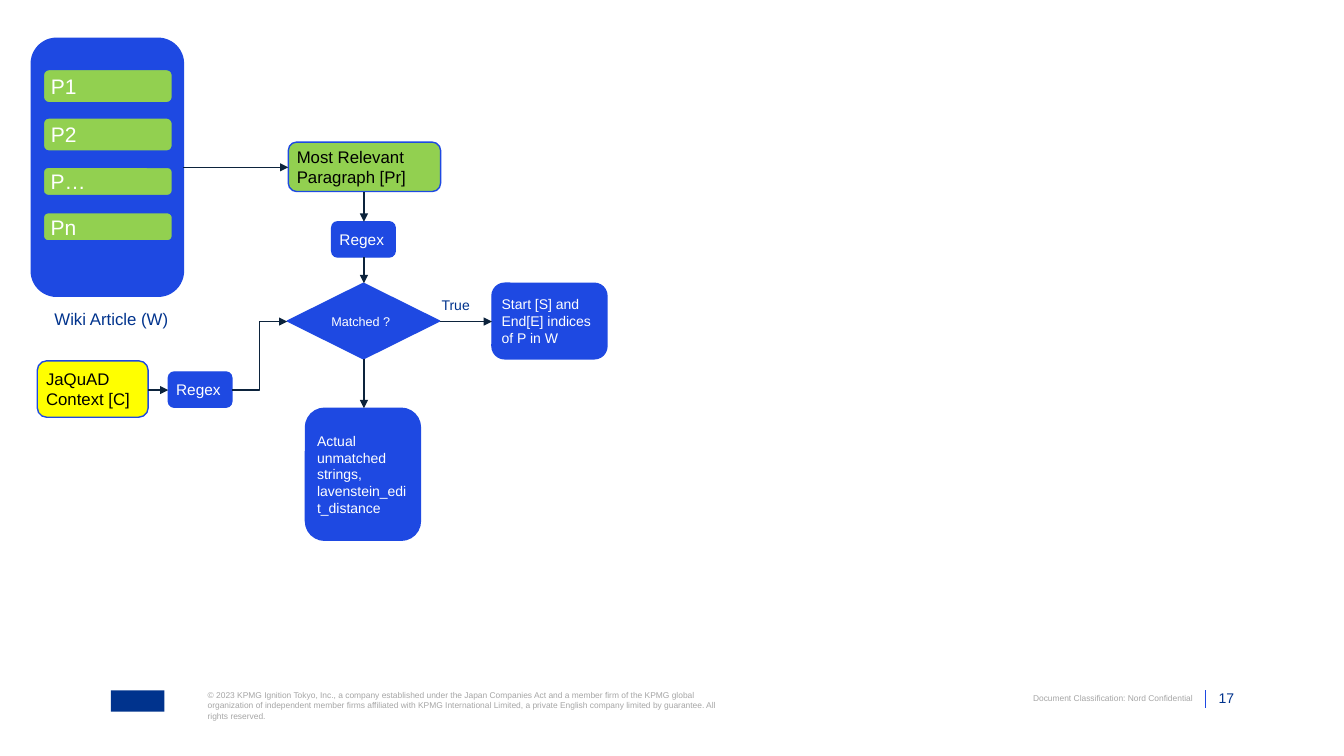
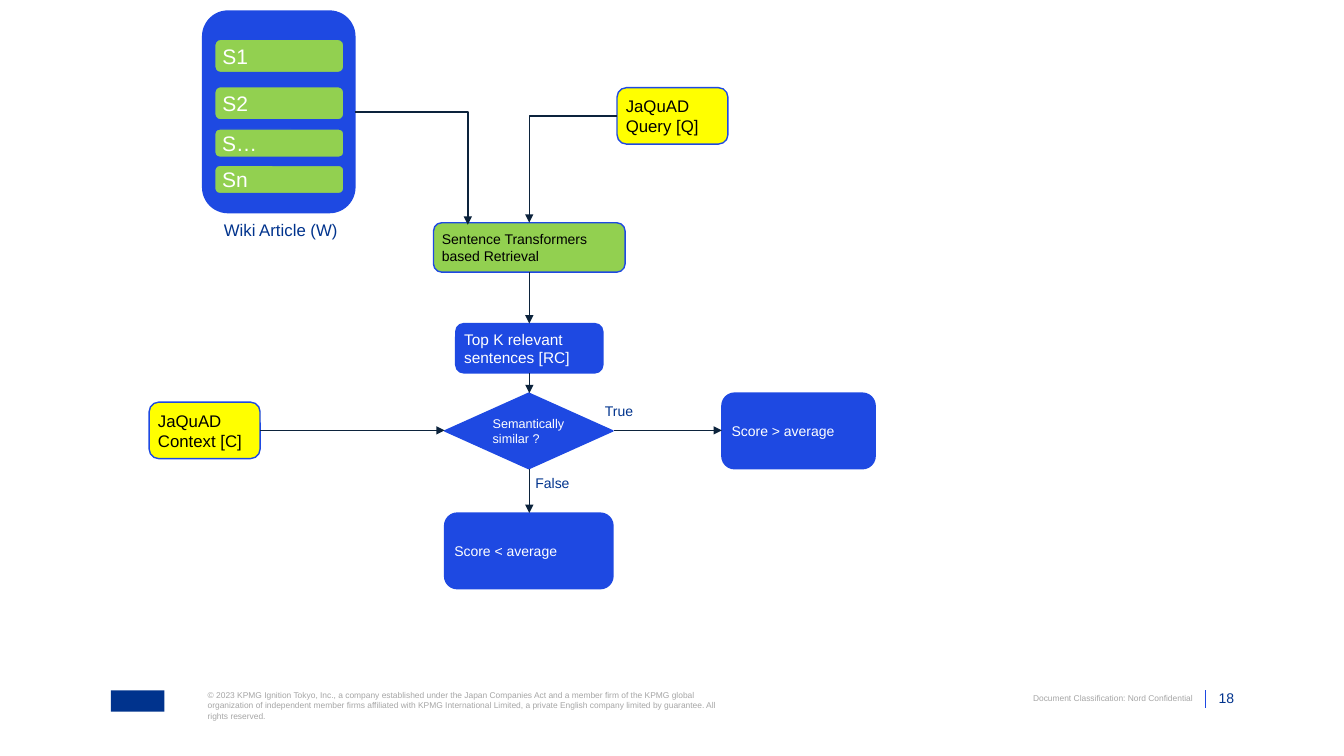
"""Build two flowchart slides on matching article passages to a question-answering data set."""
from dataclasses import dataclass

import lxml.etree
import pptx
import pptx.dml.color
import pptx.enum.shapes
import pptx.enum.text
import pptx.oxml.ns
import pptx.presentation
import pptx.shapes.connector
import pptx.slide
import pptx.text.text
import pptx.util

Inches = pptx.util.Inches
Pt = pptx.util.Pt
RGBColor = pptx.dml.color.RGBColor
SHAPE = pptx.enum.shapes.MSO_SHAPE
CONNECTOR = pptx.enum.shapes.MSO_CONNECTOR
ANCHOR = pptx.enum.text.MSO_ANCHOR
ALIGN = pptx.enum.text.PP_ALIGN

BLUE = RGBColor(0x1E, 0x49, 0xE2)
NAVY = RGBColor(0x00, 0x33, 0x8D)
INK = RGBColor(0x0C, 0x23, 0x3C)
GREEN = RGBColor(0x92, 0xD0, 0x50)
YELLOW = RGBColor(0xFF, 0xFF, 0x00)
GREY = RGBColor(0xA6, 0xA6, 0xA6)
WHITE = RGBColor(0xFF, 0xFF, 0xFF)
BLACK = RGBColor(0x00, 0x00, 0x00)

FONT = "Arial"
NODE_INSET = Inches(0.06)
CLASSIFICATION = "Document Classification: Nord Confidential"
COPYRIGHT = (
    "© 2023 KPMG Ignition Tokyo, Inc., a company established under the Japan Companies Act "
    "and a member firm of the KPMG global organization of independent member firms affiliated "
    "with KPMG International Limited, a private English company limited by guarantee. "
    "All rights reserved."
)


@dataclass(frozen=True)
class Box:
    """A rectangle in inches."""
    left: float
    top: float
    width: float
    height: float

    def lengths(self) -> tuple[int, int, int, int]:
        """Return the rectangle as slide lengths."""
        return Inches(self.left), Inches(self.top), Inches(self.width), Inches(self.height)


@dataclass(frozen=True)
class Node:
    """A filled flowchart step."""
    box: Box
    text: str = ""
    size: float = 10
    fill: RGBColor = BLUE
    color: RGBColor = WHITE
    outline: SHAPE = SHAPE.ROUNDED_RECTANGLE


@dataclass(frozen=True)
class Label:
    """Free-standing text."""
    box: Box
    text: str
    size: float = 10
    color: RGBColor = NAVY
    align: ALIGN = ALIGN.LEFT
    anchor: ANCHOR = ANCHOR.TOP


@dataclass(frozen=True)
class Arrow:
    """A flow line from one point to another, with an optional bend preset."""
    start: tuple[float, float]
    end: tuple[float, float]
    bend: str = ""


@dataclass(frozen=True)
class Flow:
    """The content of one slide."""
    number: int
    nodes: list[Node]
    arrows: list[Arrow]
    labels: list[Label]


def article(box: Box, left: float, prefix: str, tops: list[float]) -> list[Node]:
    """Return an article block and the passages stacked in it."""
    rows = zip(("1", "2", "…", "n"), tops, (0.33, 0.33, 0.28, 0.28))
    return [Node(box)] + [
        Node(Box(left, top, 1.28, height), prefix + suffix, 15, GREEN)
        for suffix, top, height in rows
    ]


def article_caption(left: float, top: float) -> Label:
    """Return the one-line caption under an article block."""
    return Label(Box(left, top, 1.3, 0.2), "Wiki Article (W)", 12)


def branch(left: float, top: float, outcome: str) -> Label:
    """Return the outcome beside a decision's arrow."""
    return Label(Box(left, top, 0.45, 0.17), outcome)


def data_set(left: float, top: float, part: str) -> Node:
    """Return a yellow data set input."""
    return Node(Box(left, top, 1.1, 0.56), f"JaQuAD {part}", 12, YELLOW, BLACK)


def regex(left: float, top: float) -> Node:
    """Return a regular expression step."""
    return Node(Box(left, top, 0.63, 0.35), "Regex", 11)


def write(frame: pptx.text.text.TextFrame, text: str, size: float, color: RGBColor,
          align: ALIGN, anchor: ANCHOR, inset: int) -> None:
    """Write one run into a wrapping text frame."""
    frame.word_wrap = True
    frame.margin_left = frame.margin_right = frame.margin_top = frame.margin_bottom = inset
    frame.vertical_anchor = anchor
    paragraph = frame.paragraphs[0]
    paragraph.alignment = align
    run = paragraph.add_run()
    run.text = text
    run.font.name = FONT
    run.font.size = Pt(size)
    run.font.color.rgb = color


def draw_node(slide: pptx.slide.Slide, node: Node) -> None:
    """Draw a flowchart step."""
    step = slide.shapes.add_shape(node.outline, *node.box.lengths())
    step.shadow.inherit = False
    step.fill.solid()
    step.fill.fore_color.rgb = node.fill
    step.line.color.rgb = BLUE
    step.line.width = Pt(1)
    if node.text:
        write(step.text_frame, node.text, node.size, node.color,
              ALIGN.LEFT, ANCHOR.MIDDLE, NODE_INSET)


def draw_label(slide: pptx.slide.Slide, label: Label) -> None:
    """Draw free-standing text."""
    frame = slide.shapes.add_textbox(*label.box.lengths()).text_frame
    write(frame, label.text, label.size, label.color, label.align, label.anchor, 0)


def draw_line(slide: pptx.slide.Slide, kind: CONNECTOR, start: tuple[float, float],
              end: tuple[float, float], color: RGBColor,
              width: float) -> pptx.shapes.connector.Connector:
    """Draw a connector without a shadow."""
    line = slide.shapes.add_connector(kind, *(Inches(value) for value in start + end))
    line.line.color.rgb = color
    line.line.width = Pt(width)
    lxml.etree.SubElement(line._element.spPr, pptx.oxml.ns.qn("a:effectLst"))
    return line


def draw_arrow(slide: pptx.slide.Slide, arrow: Arrow) -> None:
    """Draw a flow line with an arrowhead at its end."""
    kind = CONNECTOR.ELBOW if arrow.bend else CONNECTOR.STRAIGHT
    line = draw_line(slide, kind, arrow.start, arrow.end, INK, 1)
    if arrow.bend:
        line._element.spPr.find(pptx.oxml.ns.qn("a:prstGeom")).set("prst", arrow.bend)
    stroke = line._element.spPr.find(pptx.oxml.ns.qn("a:ln"))
    head = lxml.etree.SubElement(stroke, pptx.oxml.ns.qn("a:tailEnd"))
    head.set("type", "triangle")


def draw_footer(slide: pptx.slide.Slide, number: int) -> None:
    """Draw the emblem block, legal text, divider and slide number."""
    emblem = slide.shapes.add_shape(SHAPE.RECTANGLE, *Box(1.1, 6.85, 0.53, 0.21).lengths())
    emblem.shadow.inherit = False
    emblem.fill.solid()
    emblem.fill.fore_color.rgb = NAVY
    emblem.line.fill.background()
    for label in (
        Label(Box(2.06, 6.85, 5.06, 0.3), COPYRIGHT, 6, GREY),
        Label(Box(9.81, 6.88, 2.02, 0.1), CLASSIFICATION, 6, GREY, ALIGN.RIGHT),
        Label(Box(11.97, 6.85, 0.27, 0.16), str(number), 10, NAVY, ALIGN.RIGHT, ANCHOR.BOTTOM),
    ):
        draw_label(slide, label)
    draw_line(slide, CONNECTOR.STRAIGHT, (11.95, 6.85), (11.95, 7.02), BLUE, 0.5)


def draw_flow(deck: pptx.presentation.Presentation, flow: Flow) -> None:
    """Add one flowchart slide."""
    slide = deck.slides.add_slide(deck.slide_layouts[6])
    draw_footer(slide, flow.number)
    for node in flow.nodes:
        draw_node(slide, node)
    for arrow in flow.arrows:
        draw_arrow(slide, arrow)
    for label in flow.labels:
        draw_label(slide, label)


PARAGRAPH_MATCHING = Flow(
    17,
    article(Box(0.31, 0.38, 1.51, 2.56), 0.43, "P", [0.69, 1.17, 1.66, 2.11]) + [
        data_set(0.37, 3.58, "Context [C]"),
        regex(1.67, 3.69),
        Node(Box(2.86, 1.41, 1.51, 0.49), "Most Relevant Paragraph [Pr]", 12, GREEN, BLACK),
        regex(3.29, 2.2),
        Node(Box(2.85, 2.81, 1.51, 0.75), "Matched ?", 9, outline=SHAPE.DIAMOND),
        Node(Box(4.88, 2.81, 1.14, 0.75), "Start [S] and End[E] indices of P in W"),
        Node(Box(3.03, 4.05, 1.14, 1.31), "Actual unmatched strings, lavenstein_edit_distance"),
    ],
    [
        Arrow((1.82, 1.66), (2.86, 1.66)),
        Arrow((3.61, 1.9), (3.61, 2.2)),
        Arrow((3.61, 2.55), (3.61, 2.81)),
        Arrow((1.47, 3.87), (1.67, 3.87)),
        Arrow((2.3, 3.87), (2.85, 3.19), "bentConnector3"),
        Arrow((4.36, 3.19), (4.88, 3.19)),
        Arrow((3.61, 3.56), (3.61, 4.05)),
    ],
    [article_caption(0.54, 3.06), branch(4.38, 2.94, "True")],
)

SENTENCE_RETRIEVAL = Flow(
    18,
    article(Box(2.01, 0.11, 1.51, 2), 2.13, "S", [0.39, 0.86, 1.28, 1.64]) + [
        data_set(1.48, 3.99, "Context [C]"),
        data_set(6.12, 0.87, "Query [Q]"),
        Node(Box(4.3, 2.21, 1.9, 0.49), "Sentence Transformers based Retrieval", 10,
             GREEN, BLACK),
        Node(Box(4.52, 3.21, 1.46, 0.49), "Top K relevant sentences [RC]", 11),
        Node(Box(4.41, 3.9, 1.67, 0.75), "Semantically similar ?", 9, outline=SHAPE.DIAMOND),
        Node(Box(7.16, 3.9, 1.52, 0.75), "Score > average"),
        Node(Box(4.41, 5.09, 1.67, 0.75), "Score < average"),
    ],
    [
        Arrow((3.52, 1.11), (4.64, 2.23), "bentConnector2"),
        Arrow((6.12, 1.15), (5.25, 2.21), "bentConnector2"),
        Arrow((5.25, 2.7), (5.25, 3.21)),
        Arrow((5.25, 3.7), (5.25, 3.9)),
        Arrow((2.58, 4.27), (4.41, 4.27)),
        Arrow((6.09, 4.27), (7.16, 4.27)),
        Arrow((5.25, 4.65), (5.25, 5.09)),
    ],
    [article_caption(2.22, 2.18), branch(6, 3.99, "True"), branch(5.31, 4.71, "False")],
)


def main() -> None:
    """Build and save the deck."""
    deck = pptx.Presentation()
    deck.slide_width = Inches(13.33)
    deck.slide_height = Inches(7.5)
    for flow in (PARAGRAPH_MATCHING, SENTENCE_RETRIEVAL):
        draw_flow(deck, flow)
    deck.save("out.pptx")


if __name__ == "__main__":
    main()
